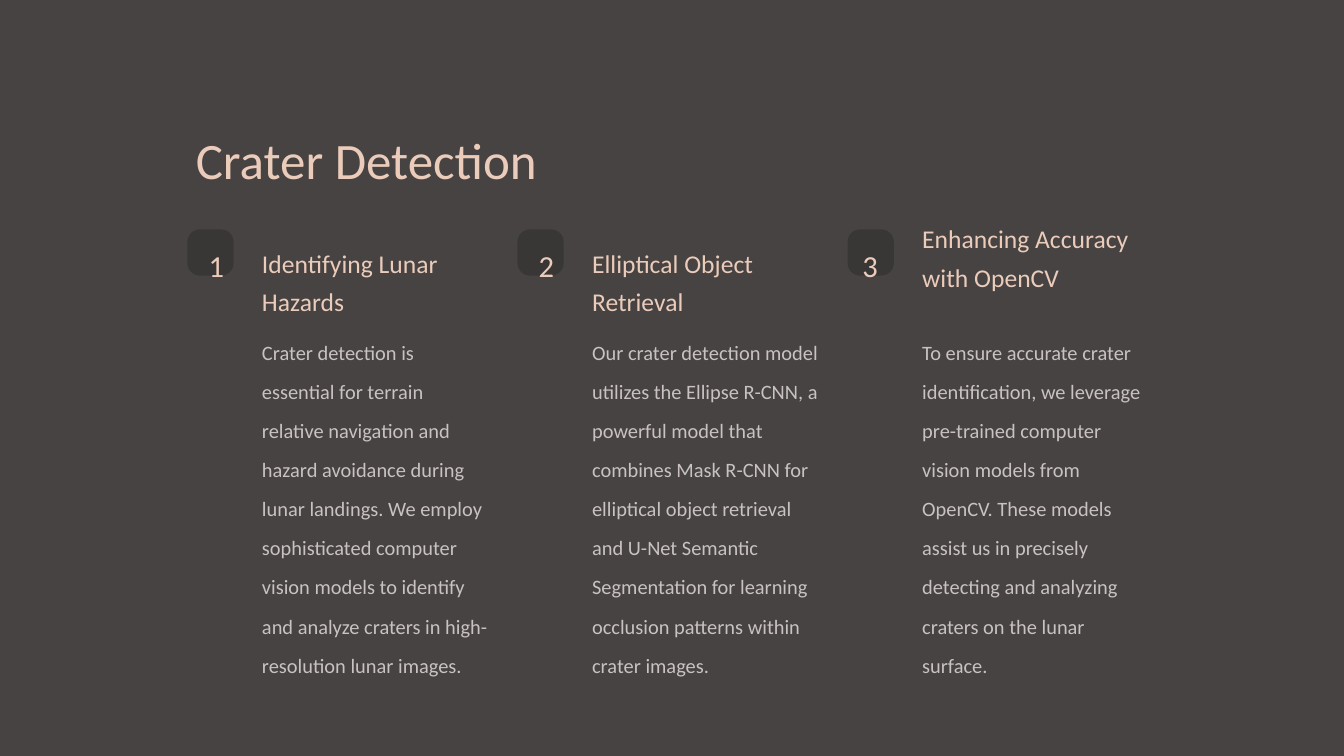
from dataclasses import dataclass

from pptx import Presentation
from pptx.dml.color import RGBColor
from pptx.enum.shapes import MSO_SHAPE
from pptx.enum.text import MSO_ANCHOR, MSO_AUTO_SIZE, PP_ALIGN
from pptx.util import Pt

COLORS = {
    "background": "464342",
    "tile": "393636",
    "accent": "EBCCBB",
    "body": "C9C2C0",
}
FORMATS = {
    "title": {"size": 43.7, "color": "accent", "spacing": 1.25, "align": PP_ALIGN.LEFT, "inset": 7.2},
    "number": {"size": 26.2, "color": "accent", "spacing": 1.25, "align": PP_ALIGN.CENTER, "inset": 0},
    "heading": {"size": 21.9, "color": "accent", "spacing": 1.25, "align": PP_ALIGN.LEFT, "inset": 7.2},
    "body": {"size": 17.5, "color": "body", "spacing": 1.6, "align": PP_ALIGN.LEFT, "inset": 7.2},
}
FIRST_LEFT = 160.6
COLUMN_STEP = 282.96
TILE_TOP = 196.6
TILE_SIZE = 39.6
TEXT_OFFSET = 56.9
TEXT_WIDTH = 208.8


@dataclass(frozen=True)
class Topic:
    heading: str
    body: str
    number_offset: float = 17.6
    heading_top: float = 202.3
    body_height: float = 280


TOPICS = [
    Topic(
        "Identifying Lunar Hazards",
        "Crater detection is essential for terrain relative navigation and hazard "
        "avoidance during lunar landings. We employ sophisticated computer vision "
        "models to identify and analyze craters in high-resolution lunar images.",
    ),
    Topic(
        "Elliptical Object Retrieval",
        "Our crater detection model utilizes the Ellipse R-CNN, a powerful model that "
        "combines Mask R-CNN for elliptical object retrieval and U-Net Semantic "
        "Segmentation for learning occlusion patterns within crater images.",
    ),
    Topic(
        "Enhancing Accuracy with OpenCV",
        "To ensure accurate crater identification, we leverage pre-trained computer "
        "vision models from OpenCV. These models assist us in precisely detecting "
        "and analyzing craters on the lunar surface.",
        number_offset=12.2,
        heading_top=181.4,
        body_height=252,
    ),
]


def color(name: str) -> RGBColor:
    return RGBColor.from_string(COLORS[name])


def set_attributes(target, values: dict) -> None:
    for name, value in values.items():
        setattr(target, name, value)


def write_text(shape, text: str, style: str) -> None:
    values = FORMATS[style]
    frame = shape.text_frame
    frame.text = text
    set_attributes(frame, {
        "word_wrap": True,
        "auto_size": MSO_AUTO_SIZE.NONE,
        "vertical_anchor": MSO_ANCHOR.TOP,
        "margin_left": Pt(values["inset"]),
        "margin_right": Pt(values["inset"]),
        "margin_top": Pt(3.6),
        "margin_bottom": Pt(3.6),
    })
    paragraph = frame.paragraphs[0]
    set_attributes(paragraph, {
        "alignment": values["align"],
        "line_spacing": values["spacing"],
        "space_before": Pt(0),
    })
    font = paragraph.runs[0].font
    set_attributes(font, {"name": "Calibri", "size": Pt(values["size"])})
    font.color.rgb = color(values["color"])


def add_text(slide, left: float, top: float, width: float, height: float, text: str, style: str) -> None:
    shape = slide.shapes.add_textbox(Pt(left), Pt(top), Pt(width), Pt(height))
    write_text(shape, text, style)


def add_tile(slide, left: float) -> None:
    tile = slide.shapes.add_shape(
        MSO_SHAPE.ROUNDED_RECTANGLE, Pt(left), Pt(TILE_TOP), Pt(TILE_SIZE), Pt(TILE_SIZE)
    )
    tile.adjustments[0] = 0.27
    tile.shadow.inherit = False
    tile.fill.solid()
    tile.fill.fore_color.rgb = color("tile")
    tile.line.fill.background()


def add_topic(slide, index: int, topic: Topic) -> None:
    left = FIRST_LEFT + index * COLUMN_STEP
    text_left = left + TEXT_OFFSET
    add_tile(slide, left)
    add_text(slide, left + topic.number_offset, 200.2, 14.4, 33.1, str(index + 1), "number")
    add_text(slide, text_left, topic.heading_top, TEXT_WIDTH, 54.7, topic.heading, "heading")
    add_text(slide, text_left, 275, TEXT_WIDTH, topic.body_height, topic.body, "body")


def main() -> None:
    presentation = Presentation()
    set_attributes(presentation, {"slide_width": Pt(1152), "slide_height": Pt(648)})
    slide = presentation.slides.add_slide(presentation.slide_layouts.get_by_name("Title Only"))
    slide.background.fill.solid()
    slide.background.fill.fore_color.rgb = color("background")

    title = slide.shapes.title
    set_attributes(title, {"left": Pt(FIRST_LEFT), "top": Pt(93.6), "width": Pt(350), "height": Pt(54.7)})
    write_text(title, "Crater Detection", "title")

    for index, topic in enumerate(TOPICS):
        add_topic(slide, index, topic)
    presentation.save("out.pptx")


if __name__ == "__main__":
    main()
